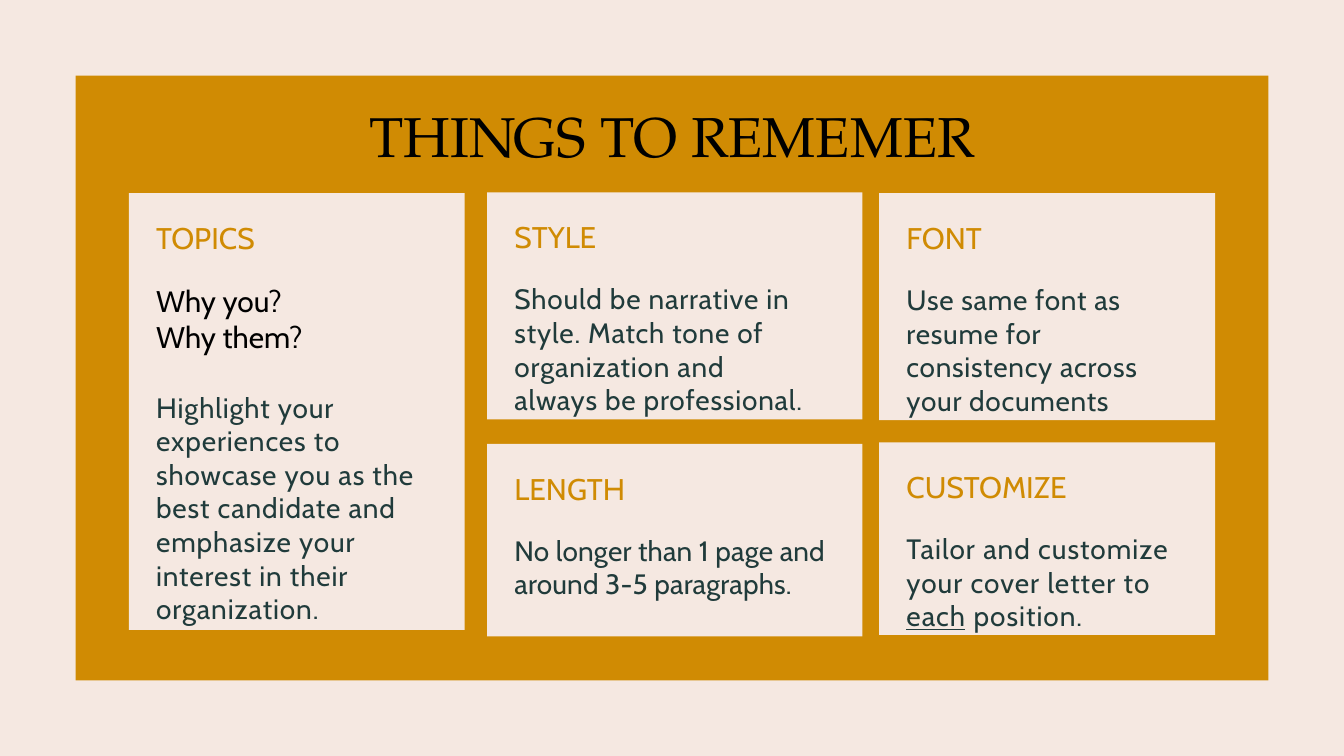
from dataclasses import dataclass

from pptx import Presentation
from pptx.dml.color import RGBColor
from pptx.enum.shapes import MSO_SHAPE
from pptx.enum.text import MSO_ANCHOR, MSO_AUTO_SIZE, PP_ALIGN
from pptx.util import Emu, Pt

RECTANGLE = MSO_SHAPE.RECTANGLE
TOP = MSO_ANCHOR.TOP
NO_AUTOFIT = MSO_AUTO_SIZE.NONE
LEFT, CENTER = PP_ALIGN.LEFT, PP_ALIGN.CENTER

EMU_PER_PX = 9525
SLIDE_W, SLIDE_H = 1920, 1080
TITLE_ONLY = 5

COLORS = {"cream": "F5E8E1", "gold": "D08B03", "pine": "203B3B", "black": "000000"}
HEADING_FONT, BODY_FONT = "TeX Gyre Pagella", "Cabin"

PADDING_LEFT, PADDING_TOP = 39, 38
HEADING_GAP = 28.8  # points between a card's heading and its text
QUESTION_GAP = 38.4  # points between the questions and the advice


@dataclass(frozen=True)
class Box:
    left: int
    top: int
    width: int
    height: int


@dataclass(frozen=True)
class Card:
    box: Box
    heading: str
    advice: str
    tracking: float
    padding_right: int = 39
    questions: tuple[str, ...] = ()
    underlined: str = ""
    ending: str = ""


FRAME = Box(108, 108, 1704, 864)
TITLE = Box(184, 140, 1552, 107)
CARDS = (
    Card(Box(184, 276, 480, 624), "TOPICS",
         "Highlight your experiences to showcase you as the best candidate and "
         "emphasize your interest in their organization.",
         tracking=1, questions=("Why you?", "Why them?")),
    Card(Box(696, 275, 536, 324), "STYLE",
         "Should be narrative in style. Match tone of organization and always "
         "be professional.", tracking=0.9, padding_right=74),
    Card(Box(1256, 276, 480, 324), "FONT",
         "Use same font as resume for consistency across your documents",
         tracking=0.8),
    Card(Box(1256, 632, 480, 275), "CUSTOMIZE",
         "Tailor and customize your cover letter to ", tracking=1.1,
         underlined="each", ending=" position."),
    Card(Box(696, 634, 536, 275), "LENGTH",
         "No longer than 1 page and around 3-5 paragraphs.",
         tracking=0.2, padding_right=20),
)


def px(length: int) -> Emu:
    return Emu(length * EMU_PER_PX)


def rgb(color: str) -> RGBColor:
    return RGBColor.from_string(COLORS[color])


def add_text(paragraph, text: str, *, size: int, color: str, font: str = BODY_FONT,
             align=LEFT, before: float = 0, tracking: float = 0,
             underline: bool = False) -> None:
    """Append a formatted run to the paragraph."""
    paragraph.alignment = align
    paragraph.space_before = Pt(before)
    run = paragraph.add_run()
    run.text = text
    run.font.name = font
    run.font.size = Pt(size)
    run.font.color.rgb = rgb(color)
    if underline:
        run.font.underline = True
    if tracking:
        run.font._element.set("spc", str(round(tracking * 100)))


def add_panel(slide, box: Box, color: str):
    panel = slide.shapes.add_shape(
        RECTANGLE, px(box.left), px(box.top), px(box.width), px(box.height))
    panel.shadow.inherit = False
    panel.fill.solid()
    panel.fill.fore_color.rgb = rgb(color)
    panel.line.fill.background()
    return panel


def add_card(slide, card: Card) -> None:
    frame = add_panel(slide, card.box, "cream").text_frame
    frame.word_wrap = True
    frame.auto_size = NO_AUTOFIT
    frame.vertical_anchor = TOP
    frame.margin_left, frame.margin_top = px(PADDING_LEFT), px(PADDING_TOP)
    frame.margin_right, frame.margin_bottom = px(card.padding_right), 0

    add_text(frame.paragraphs[0], card.heading, size=32, color="gold")
    for index, question in enumerate(card.questions):
        add_text(frame.add_paragraph(), question, size=32, color="black",
                 before=0 if index else HEADING_GAP)

    advice = frame.add_paragraph()
    gap = QUESTION_GAP if card.questions else HEADING_GAP
    for text in filter(None, (card.advice, card.underlined, card.ending)):
        add_text(advice, text, size=30, color="pine", before=gap,
                 tracking=card.tracking, underline=text == card.underlined)


def place_title(slide, box: Box, text: str) -> None:
    title = slide.shapes.title
    title.left, title.top = px(box.left), px(box.top)
    title.width, title.height = px(box.width), px(box.height)
    frame = title.text_frame
    frame.word_wrap = True
    frame.auto_size = NO_AUTOFIT
    frame.vertical_anchor = TOP
    add_text(frame.paragraphs[0], text, size=60, color="black",
             font=HEADING_FONT, align=CENTER)
    # Bring the title in front of the gold frame
    slide.shapes._spTree.append(title._element)


def main() -> None:
    deck = Presentation()
    deck.slide_width, deck.slide_height = px(SLIDE_W), px(SLIDE_H)
    slide = deck.slides.add_slide(deck.slide_layouts[TITLE_ONLY])

    # Background and frame
    slide.background.fill.solid()
    slide.background.fill.fore_color.rgb = rgb("cream")
    add_panel(slide, FRAME, "gold")

    # Cards and title
    for card in CARDS:
        add_card(slide, card)
    place_title(slide, TITLE, "THINGS TO REMEMER")

    deck.save("out.pptx")


if __name__ == "__main__":
    main()
